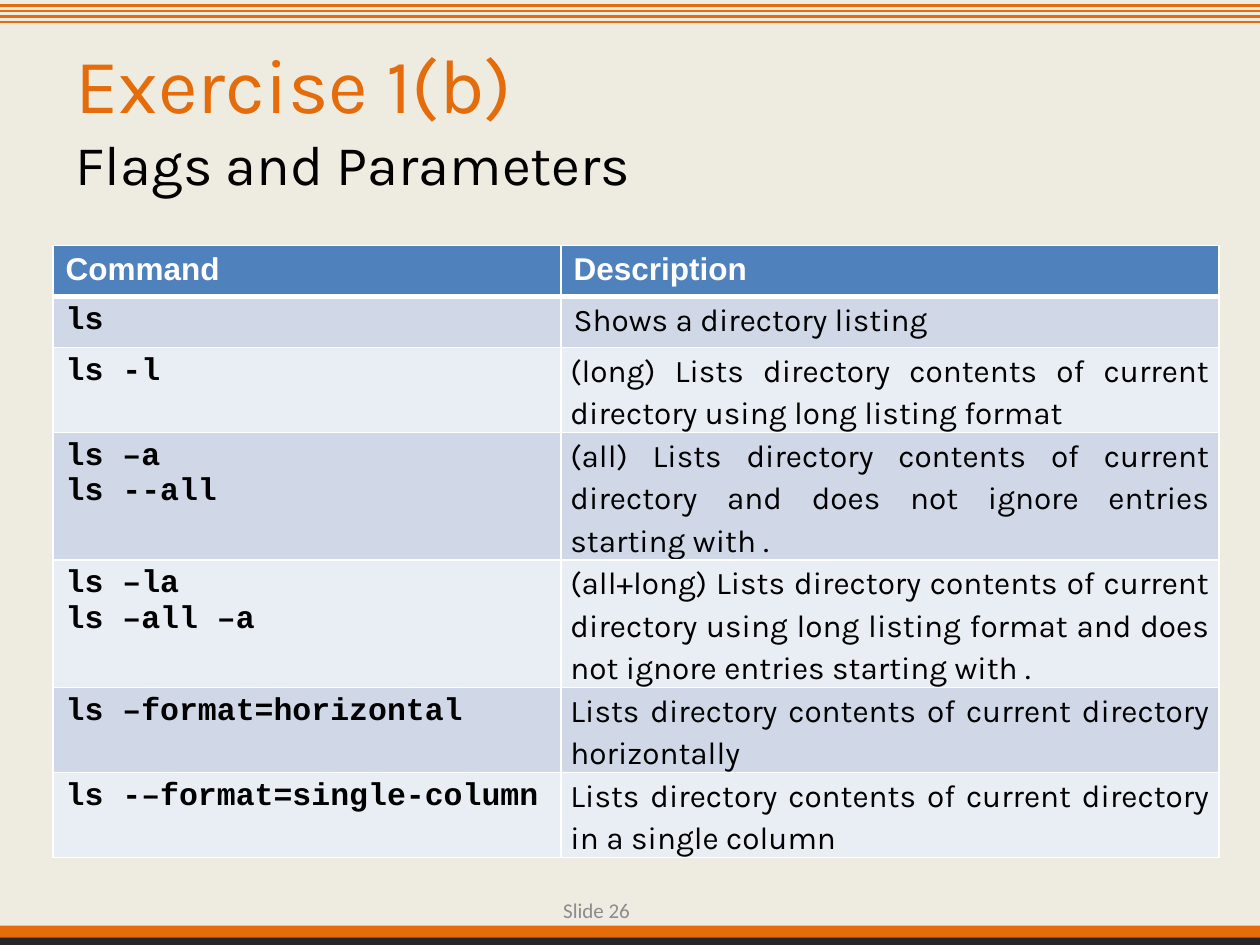
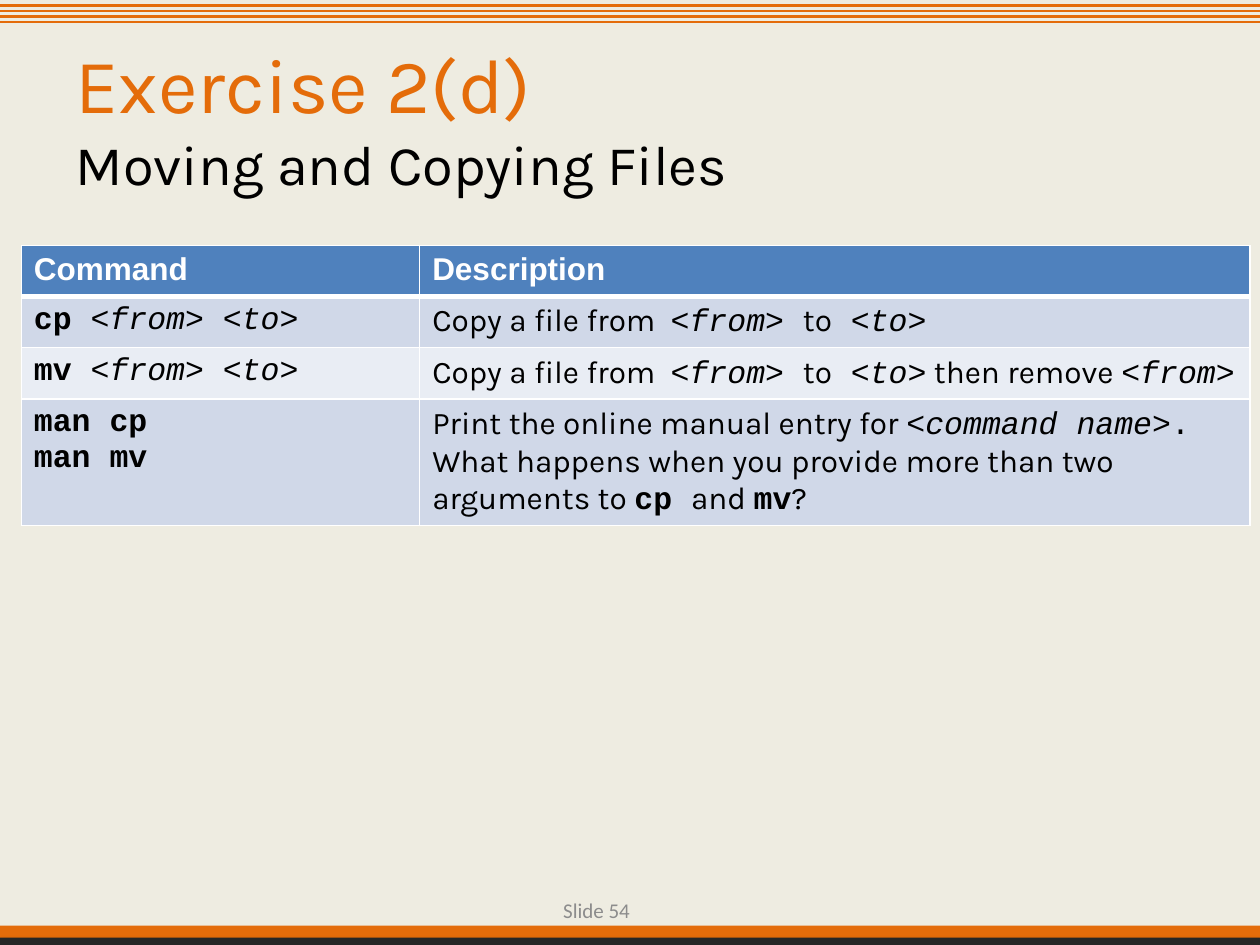
"""Build two command-reference slides with a shared master, title style and table style."""
from dataclasses import dataclass

from lxml import etree
from pptx import Presentation
from pptx import util as u
from pptx.dml.color import RGBColor
from pptx.enum import shapes, text
from pptx.oxml.ns import qn

SLIDES = [
    dict(
        title="Exercise 1(b)", subtitle="Flags and Parameters", number=26,
        left=1.07, cols=(10.24, 13.26), justify_from=2,
        rows=[
            ([[("code", "ls")]], [("prose", "Shows a directory listing")]),
            ([[("code", "ls -l")]],
             [("prose", "(long) Lists directory contents of current directory using long listing format")]),
            ([[("code", "ls –a")], [("code", "ls --all")]],
             [("prose", "(all) Lists directory contents of current directory and does not ignore "
                        "entries starting with .")]),
            ([[("code", "ls –la")], [("code", "ls –all –a")]],
             [("prose", "(all+long) Lists directory contents of current directory using long listing "
                        "format and does not ignore entries starting with .")]),
            ([[("code", "ls –format=horizontal")]],
             [("prose", "Lists directory contents of current directory horizontally")]),
            ([[("code", "ls -–format=single-column")]],
             [("prose", "Lists directory contents of current directory in a single column")]),
        ],
    ),
    dict(
        title="Exercise 2(d)", subtitle="Moving and Copying Files", number=54,
        left=0.43, cols=(8.03, 16.74), justify_from=None,
        rows=[
            ([[("code", "cp "), ("arg", "<from> <to>")]],
             [("prose", "Copy a file from  "), ("arg", "<from> "), ("prose", "to"), ("arg", " <to>")]),
            ([[("code", "mv "), ("arg", "<from> <to>")]],
             [("prose", "Copy a file from  "), ("arg", "<from> "), ("prose", "to"), ("arg", " <to>"),
              ("prose", " then remove "), ("arg", "<from>")]),
            ([[("code", "man cp")], [("code", "man mv")]],
             [("prose", "Print the online manual entry for "), ("arg", "<command name>"), ("mono", ". "),
              ("prose", "What happens when you provide more than two arguments to "),
              ("code", "cp "), ("prose", "and "), ("code", "mv"), ("prose", "?")]),
        ],
    ),
]
HEADINGS = ("Command", "Description")


@dataclass(frozen=True)
class Style:
    """Type settings of one kind of run."""
    font: str
    size: int
    color: str
    bold: bool = False
    italic: bool = False


class Theme:
    """Colours and type of the deck."""
    paper, accent, dark = "EEECE1", "E46C0A", "262626"
    header, bands, border = "4F81BD", ("D0D8E8", "E9EDF4"), "FFFFFF"
    styles = dict(
        title=Style("Karla", 44, accent),
        subtitle=Style("Karla", 32, "000000"),
        heading=Style("Arial", 18, "FFFFFF", bold=True),
        prose=Style("Karla", 18, "000000"),
        code=Style("Courier New", 18, "000000", bold=True),
        arg=Style("Courier New", 18, "000000", italic=True),
        mono=Style("Courier New", 18, "000000"),
        footer=Style("Calibri", 12, "8C8C8C"),
    )


def rgb(color):
    return RGBColor.from_string(color)


def paint(fill, color):
    fill.solid()
    fill.fore_color.rgb = rgb(color)


def add_run(p, kind, words):
    style = Theme.styles[kind]
    r = p.add_run()
    r.text = words
    r.font.name, r.font.size = style.font, u.Pt(style.size)
    r.font.bold, r.font.italic = style.bold, style.italic
    r.font.color.rgb = rgb(style.color)


def add_band(s, top, height, color):
    sp = s.shapes.add_shape(shapes.MSO_SHAPE.RECTANGLE, 0, u.Cm(top), u.Cm(25.4), u.Cm(height))
    sp.shadow.inherit = False
    paint(sp.fill, color)
    sp.line.fill.background()
    return sp


def add_stripe(s, top):
    sp = s.shapes.add_connector(shapes.MSO_CONNECTOR.STRAIGHT, 0, u.Cm(top), u.Cm(25.4), u.Cm(top))
    sp.line.color.rgb, sp.line.width = rgb(Theme.accent), u.Pt(1.5)
    etree.SubElement(sp._element.spPr, qn("a:effectLst"))
    return sp


def add_shadow(sp):
    effects = sp._element.spPr.find(qn("a:effectLst"))
    shadow = etree.SubElement(effects, qn("a:outerShdw"), blurRad="40000", dist="23000",
                              dir="5400000", rotWithShape="0")
    color = etree.SubElement(shadow, qn("a:srgbClr"), val="000000")
    etree.SubElement(color, qn("a:alpha"), val="35000")


def decorate_master(master, s):
    """Draw the bands on a slide and move them to the master."""
    paint(master.background.fill, Theme.paper)
    parts = [add_band(s, 18.66, 0.39, Theme.accent)]
    parts += [add_stripe(s, 0.11 * n) for n in range(1, 5)]
    parts.append(add_band(s, 18.9, 0.15, Theme.dark))
    add_shadow(parts[-1])
    for n, sp in enumerate(parts):
        sp._element.xpath(".//p:cNvPr")[0].set("id", str(100 + n))
        master.shapes.element.insert(2 + n, sp._element)


def fill_title(s, title, subtitle):
    sp = s.shapes.title
    sp.left, sp.top, sp.width, sp.height = u.Cm(1.27), u.Cm(0.76), u.Cm(22.86), u.Cm(3.18)
    tf = sp.text_frame
    tf.auto_size, tf.vertical_anchor = text.MSO_AUTO_SIZE.NONE, text.MSO_ANCHOR.MIDDLE
    p = tf.paragraphs[0]
    p.alignment = text.PP_ALIGN.LEFT
    add_run(p, "title", title)
    p.add_line_break()
    add_run(p, "subtitle", subtitle)


def add_footer(s, number):
    tf = s.shapes.add_textbox(u.Cm(10.44), u.Cm(17.58), u.Cm(2.51), u.Cm(1.02)).text_frame
    tf.word_wrap, tf.vertical_anchor, tf.margin_bottom = True, text.MSO_ANCHOR.BOTTOM, 0
    p = tf.paragraphs[0]
    p.alignment = text.PP_ALIGN.RIGHT
    add_run(p, "footer", f"Slide {number}")


def set_borders(cell, top, bottom):
    tc_pr = cell._tc.get_or_add_tcPr()
    for n, (side, width) in enumerate(zip("LRTB", (1, 1, top, bottom))):
        ln = etree.Element(qn(f"a:ln{side}"), w=str(u.Pt(width)))
        solid = etree.SubElement(ln, qn("a:solidFill"))
        etree.SubElement(solid, qn("a:srgbClr"), val=Theme.border)
        tc_pr.insert(n, ln)


def fill_cell(cell, lines, color, top=1, bottom=1, justified=False):
    set_borders(cell, top, bottom)
    paint(cell.fill, color)
    tf = cell.text_frame
    for n, runs in enumerate(lines):
        p = tf.add_paragraph() if n else tf.paragraphs[0]
        for kind, words in runs:
            add_run(p, kind, words)
        if justified:
            p.alignment, p.line_spacing, p.space_after = text.PP_ALIGN.JUSTIFY, 1.15, u.Pt(10)
    if justified:
        cell.margin_left = cell.margin_right = u.Cm(0.19)
        cell.margin_top = cell.margin_bottom = 0


def add_commands(s, left, cols, rows, justify_from):
    row_height = 1.03
    count = len(rows) + 1
    table = s.shapes.add_table(count, len(cols), u.Cm(left), u.Cm(4.95),
                               u.Cm(sum(cols)), u.Cm(row_height * count)).table
    for column, width in zip(table.columns, cols):
        column.width = u.Cm(width)
    for n, heading in enumerate(HEADINGS):
        fill_cell(table.cell(0, n), [[("heading", heading)]], Theme.header, bottom=3)
    for n, (commands, description) in enumerate(rows, 1):
        color = Theme.bands[(n - 1) % 2]
        top = 3 if n == 1 else 1
        justified = justify_from is not None and n >= justify_from
        fill_cell(table.cell(n, 0), commands, color, top)
        fill_cell(table.cell(n, 1), [description], color, top, justified=justified)


def main():
    prs = Presentation()
    prs.slide_width, prs.slide_height = u.Cm(25.4), u.Cm(19.05)
    title_only = prs.slide_layouts[5]
    for n, content in enumerate(SLIDES):
        s = prs.slides.add_slide(title_only)
        if n == 0:
            decorate_master(prs.slide_master, s)
        fill_title(s, content["title"], content["subtitle"])
        add_commands(s, content["left"], content["cols"], content["rows"], content["justify_from"])
        add_footer(s, content["number"])
    prs.save("out.pptx")


if __name__ == "__main__":
    main()
